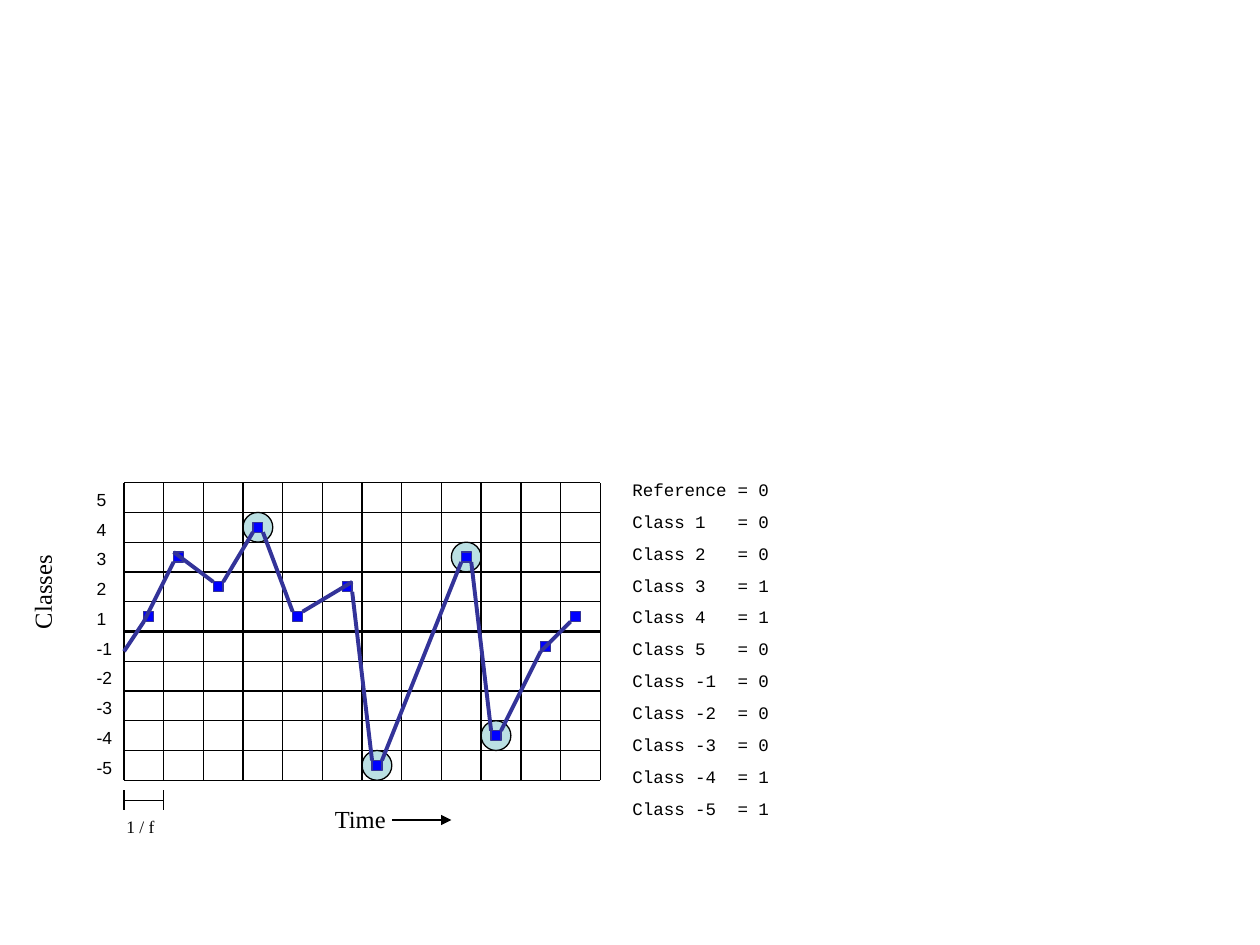
from dataclasses import dataclass
from lxml import etree
from pptx import Presentation, util as u
from pptx.dml.color import RGBColor
from pptx.enum import shapes, text
from pptx.oxml import ns

Cm, Pt = u.Cm, u.Pt


@dataclass(frozen=True)
class Theme:
    ink: str = "000000"
    halo: str = "BBE0E3"
    dot: str = "0000FF"
    trace: str = "333399"
    thin: float = 0.75
    thick: float = 2.25
    small: int = 10
    large: int = 14
    sans: str = "Arial"
    serif: str = "Times New Roman"
    mono: str = "Courier New"


THEME = Theme()

# Grid in centimetres
LEFT, TOP, COLS, ROWS = 2.5, 9.73, 12, 10
COL, ROW, DOT = 0.8, 0.6, 0.2
RIGHT, BASE = LEFT + COLS * COL, TOP + ROWS * ROW

# Samples: left edge, row from the top, counted as a peak
DOTS = [
    (2.9, 4, False), (3.5, 2, False), (4.3, 3, False), (5.1, 1, True),
    (5.9, 4, False), (6.9, 3, False), (7.5, 9, True), (9.3, 2, True),
    (9.9, 8, True), (10.9, 5, False), (11.5, 4, False),
]
# Corners joined between neighbouring samples (0 left or top, 1 right or bottom)
NW, NE, SW, SE = (0, 0), (1, 0), (0, 1), (1, 1)
JOINS = [(SW, SW), (NW, NW), (NE, SW), (SE, NW), (NE, NE),
         (SE, NW), (NE, SW), (SE, NW), (NE, SW), (SW, SW)]

CLASSES = [5, 4, 3, 2, 1, -1, -2, -3, -4, -5]
COUNTS = {"Reference": 0, "Class 1": 0, "Class 2": 0, "Class 3": 1,
          "Class 4": 1, "Class 5": 0, "Class -1": 0, "Class -2": 0,
          "Class -3": 0, "Class -4": 1, "Class -5": 1}


def add_line(slide, start, end, color=THEME.ink, width=THEME.thin, arrow=False):
    line = slide.shapes.add_connector(
        shapes.MSO_CONNECTOR.STRAIGHT, *(Cm(v) for v in (*start, *end)))
    line.line.color.rgb = RGBColor.from_string(color)
    line.line.width = Pt(width)
    if arrow:
        tail = etree.SubElement(line.line._get_or_add_ln(), ns.qn("a:tailEnd"))
        tail.set("type", "triangle")
    etree.SubElement(line._element.spPr, ns.qn("a:effectLst"))


def add_mark(slide, kind, x, y, size, fill, edge):
    mark = slide.shapes.add_shape(kind, Cm(x), Cm(y), Cm(size), Cm(size))
    mark.shadow.inherit = False
    mark.fill.solid()
    mark.fill.fore_color.rgb = RGBColor.from_string(fill)
    mark.line.color.rgb = RGBColor.from_string(edge)
    mark.line.width = Pt(THEME.thin)


def add_text(slide, box, lines, face, size=THEME.small, wrap=True, turn=0, tab=None):
    label = slide.shapes.add_textbox(*(Cm(v) for v in box))
    label.rotation = turn
    frame = label.text_frame
    frame.word_wrap = wrap
    frame.auto_size = text.MSO_AUTO_SIZE.SHAPE_TO_FIT_TEXT
    style = {"name": face, "size": Pt(size)}
    for i, words in enumerate(lines):
        para = frame.add_paragraph() if i else frame.paragraphs[0]
        if i:
            para.space_before = Pt(6.2)
        if tab:
            stops = etree.SubElement(para._p.get_or_add_pPr(), ns.qn("a:tabLst"))
            etree.SubElement(stops, ns.qn("a:tab"), pos=str(Cm(tab)), algn="l")
        run = para.add_run()
        run.text = words
        for key, value in style.items():
            setattr(run.font, key, value)
        run.font.color.rgb = RGBColor.from_string(THEME.ink)


def corner(index, side):
    x, row, _ = DOTS[index]
    return x + side[0] * DOT, TOP + row * ROW + DOT + side[1] * DOT


def add_grid(slide):
    for row in range(ROWS + 1):
        y = TOP + row * ROW
        width = THEME.thick if row == ROWS // 2 else THEME.thin
        add_line(slide, (LEFT, y), (RIGHT, y), width=width)
    for col in range(COLS + 1):
        x = LEFT + col * COL
        add_line(slide, (x, BASE), (x, TOP))


def add_trace(slide):
    for i in range(len(DOTS)):
        add_mark(slide, shapes.MSO_SHAPE.RECTANGLE, *corner(i, NW), DOT,
                 THEME.dot, THEME.trace)
    pairs = [((LEFT, TOP + 3.4), corner(0, SW))]
    pairs += [(corner(i, a), corner(i + 1, b)) for i, (a, b) in enumerate(JOINS)]
    for start, end in pairs:
        add_line(slide, start, end, THEME.trace, THEME.thick)


def add_axes(slide):
    for row, name in enumerate(CLASSES):
        add_text(slide, (1.7, TOP + row * ROW, 1, 0.68), [str(name)], THEME.sans)
    add_text(slide, (-0.24, 11.4, 2.2, 0.86), ["Classes"], THEME.serif,
             THEME.large, wrap=False, turn=270)
    add_text(slide, (6.5, 16.08, 1.55, 0.86), ["Time"], THEME.serif,
             THEME.large, wrap=False)
    add_line(slide, (7.9, BASE + 0.8), (9.1, BASE + 0.8), arrow=True)

    # Sampling interval
    y = BASE + 0.4
    add_line(slide, (LEFT, y), (LEFT + COL, y))
    for x in (LEFT, LEFT + COL):
        add_line(slide, (x, y - 0.2), (x, y + 0.2))
    add_text(slide, (2.3, 16.33, 1.25, 0.68), ["1 / f"], THEME.serif)


def main():
    deck = Presentation()
    deck.slide_width, deck.slide_height = Cm(25.4), Cm(19.05)
    slide = deck.slides.add_slide(deck.slide_layouts[6])

    # Halos behind the counted peaks
    for x, row, peak in DOTS:
        if peak:
            add_mark(slide, shapes.MSO_SHAPE.OVAL, x - DOT, TOP + row * ROW, ROW,
                     THEME.halo, THEME.ink)

    # Chart
    add_grid(slide)
    add_axes(slide)
    add_trace(slide)

    # Counts per class
    rows = [f"{name}\t= {count}" for name, count in COUNTS.items()]
    add_text(slide, (12.5, 9.53, 3.6, 7.14), rows, THEME.mono, tab=2.12)
    deck.save("out.pptx")


if __name__ == "__main__":
    main()
